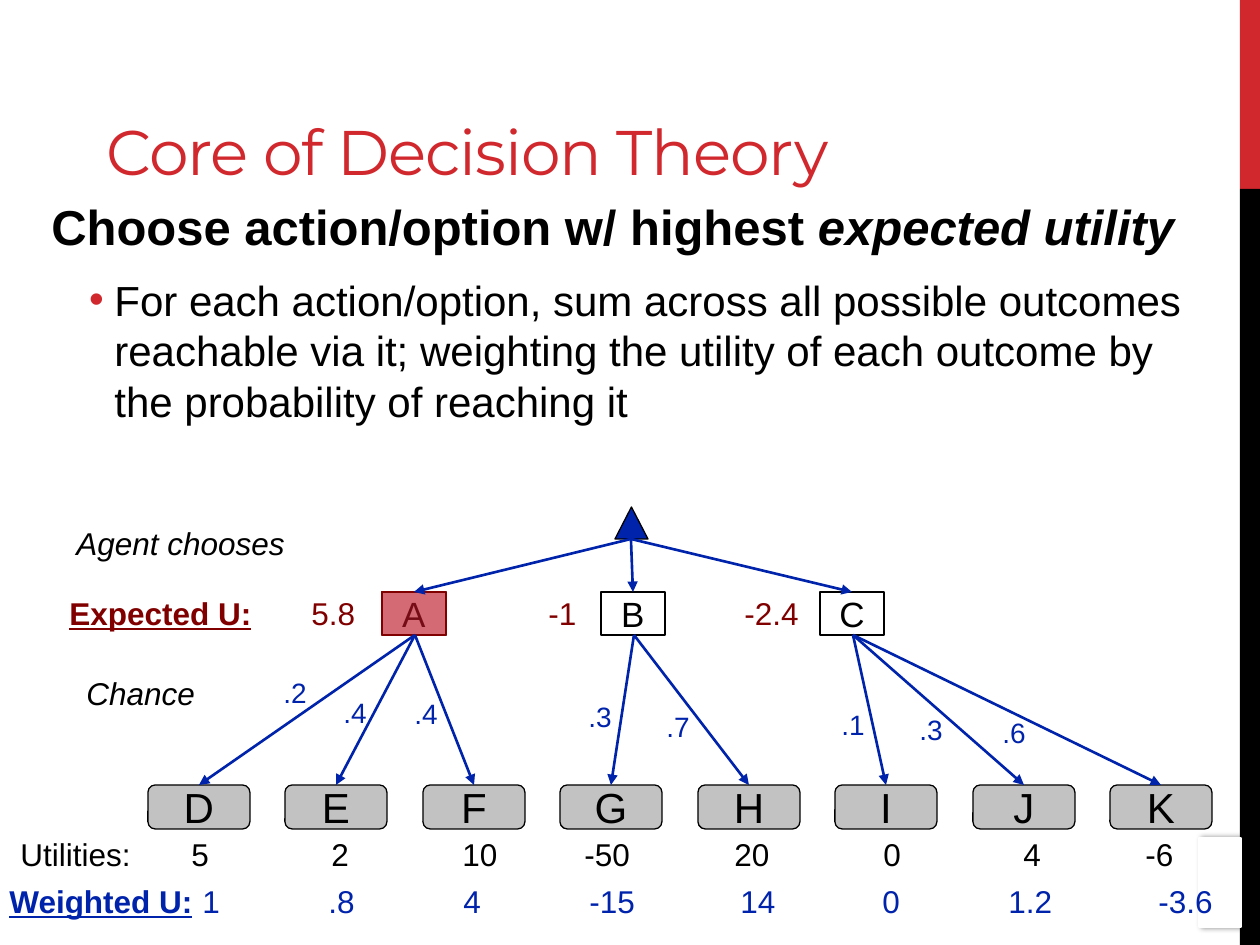
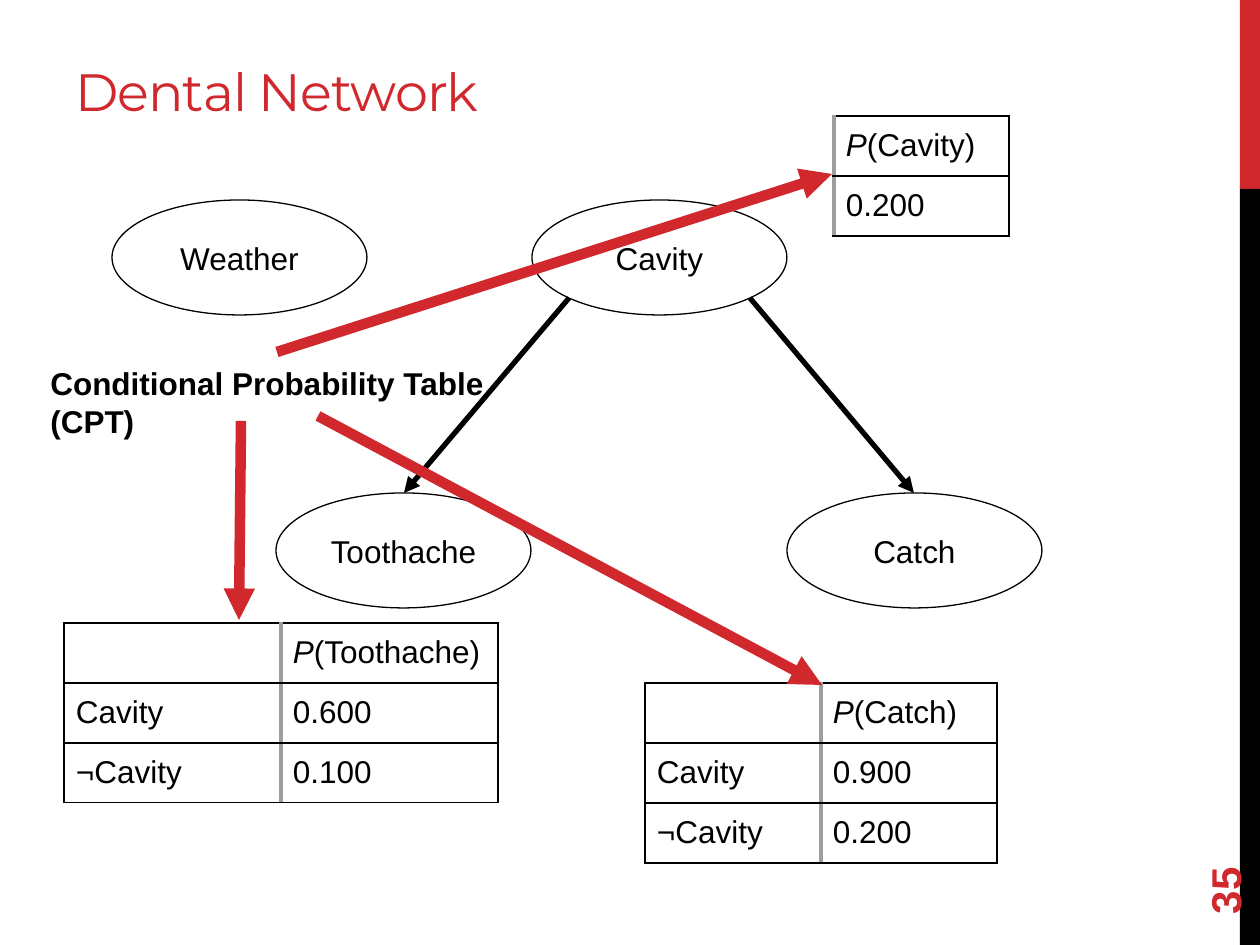
from lxml import etree
from pptx import Presentation
from pptx import util as u
from pptx.dml.color import RGBColor
from pptx.enum import shapes, text
from pptx.oxml.ns import qn

PX = 7257  # EMU in one px, 126 px to the inch
RED, BLACK, WHITE = "D1282E", "000000", "FFFFFF"
BLUE, WINE, GREY = "0023AB", "800000", "9E9E9E"
rgb = RGBColor.from_string
KIND = shapes.MSO_SHAPE
MID = text.MSO_ANCHOR.MIDDLE


def write(par, txt, size=18, col=BLACK, font="Arial", bold=False,
          ital=False, under=False, track=0):
    """Add one formatted run to a paragraph."""
    run = par.add_run()
    run.text = txt
    f = run.font
    f.size, f.name, f.bold, f.italic = u.Pt(size), font, bold, ital
    f.underline = under
    f.color.rgb = rgb(col)
    if track:
        run._r.get_or_add_rPr().set("spc", str(track))


def put(sl, box, txt="", kind=None, fill=None, edge=None, wide=0.75,
        wrap=True, anchor=None, **form):
    """Add a text box, or a preset shape with centred text."""
    box = [n * PX for n in box]
    if kind is None:
        shp = sl.shapes.add_textbox(*box)
    else:
        shp = sl.shapes.add_shape(kind, *box)
        shp.shadow.inherit = False
        if fill:
            shp.fill.solid()
            shp.fill.fore_color.rgb = rgb(fill)
        else:
            shp.fill.background()
        if edge:
            shp.line.color.rgb = rgb(edge)
            shp.line.width = u.Pt(wide)
        else:
            shp.line.fill.background()
    frame = shp.text_frame
    frame.word_wrap = wrap
    if anchor is not None:
        frame.vertical_anchor = anchor
    if txt:
        par = frame.paragraphs[0]
        if kind is not None:
            par.alignment = text.PP_ALIGN.CENTER
            frame.vertical_anchor = MID
        write(par, txt, **form)
    return shp


prs = Presentation()
prs.slide_width, prs.slide_height = u.Inches(10), u.Inches(7.5)
links = []  # slide, from x, from y, to x, to y, colour, width

# Shared bands and titles
heads = [("Core of Decision Theory", 36, (94, 37, 1071, 157)),
         ("Dental Network", 30, (63, 21, 1114, 107))]
for head, size, box in heads:
    sl = prs.slides.add_slide(prs.slide_layouts[6])
    put(sl, (1240, 0, 20, 189), kind=KIND.RECTANGLE, fill=RED)
    put(sl, (1240, 189, 20, 756), kind=KIND.RECTANGLE, fill=BLACK)
    put(sl, box, head, anchor=text.MSO_ANCHOR.BOTTOM, size=size, col=RED,
        font="Montserrat", track=-60)
tree, net = prs.slides

# ---- Decision tree ----
# White patch with a soft shadow
patch = put(tree, (1199, 838, 42, 89), kind=KIND.RECTANGLE, fill=WHITE,
            edge=WHITE, wide=1)
glow = etree.SubElement(patch._element.spPr.find(qn("a:effectLst")),
                        qn("a:outerShdw"), blurRad="39370", dist="22860",
                        dir="0")
tint = etree.SubElement(glow, qn("a:srgbClr"), val=BLACK)
etree.SubElement(tint, qn("a:alpha"), val="40000")

# Rule and its bullet
body = put(tree, (39, 190, 1167, 309), "Choose action/option w/ highest ",
           size=28, bold=True).text_frame
first = body.paragraphs[0]
write(first, "expected utility", size=28, bold=True, ital=True)
first.space_after = u.Pt(6)
item = body.add_paragraph()
write(item, "For each action/option, sum across all possible outcomes "
      "reachable via it; weighting the utility of each outcome by the "
      "probability of reaching it", size=24)
item.space_before = u.Pt(5)
ppr = item._p.get_or_add_pPr()
ppr.set("marL", str(u.Inches(0.5)))
ppr.set("indent", str(u.Inches(-0.2)))
mark = etree.SubElement(ppr, qn("a:buClr"))
etree.SubElement(mark, qn("a:srgbClr"), val=RED)
etree.SubElement(ppr, qn("a:buFont"), typeface="Arial")
etree.SubElement(ppr, qn("a:buChar"), char="•")

# Root and the three actions
put(tree, (615, 507, 33, 32), kind=KIND.ISOSCELES_TRIANGLE, fill=BLUE,
    edge=BLACK)
acts = [("A", "5.8", 299, "DEF"), ("B", "-1", 536, "GH"),
        ("C", "-2.4", 732, "IJK")]
leaf = 0
for i, (act, worth, x, kids) in enumerate(acts):
    left = 382 + 219 * i
    put(tree, (left, 592, 64, 43), act, KIND.RECTANGLE, WHITE, BLACK,
        wrap=False, size=20)
    put(tree, (x, 588, 100, 50), worth, wrap=False, col=WINE)
    links.append((tree, 631, 539, left + 32, 592, BLUE, 1.5))
    for kid in kids:
        kx = 148 + leaf * 275 // 2
        put(tree, (kx, 785, 102, 44), kid, KIND.ROUNDED_RECTANGLE, "C2C2C2",
            BLACK, wrap=False, size=24)
        links.append((tree, left + 33, 635, kx + 51, 785, BLUE, 1.5))
        leaf += 1

# Best action, tinted
best = put(tree, (382, 592, 64, 43), kind=KIND.RECTANGLE, fill="BC1422",
           edge=WINE)
tint = best._element.spPr.find(qn("a:solidFill"))[0]
etree.SubElement(tint, qn("a:alpha"), val="63000")

# Chances on the branches
odds = [(".2", 271, 669), (".4", 331, 689), (".4", 402, 690),
        (".3", 576, 693), (".7", 654, 703), (".1", 829, 701),
        (".3", 907, 706), (".6", 990, 709)]
for odd, x, y in odds:
    put(tree, (x, y, 60, 47), odd, wrap=False, size=16, col=BLUE)

# Value rows under the leaves
rows = [(829, BLACK, [("5", 179), ("2", 319), ("10", 450), ("-50", 572),
                      ("20", 722), ("0", 871), ("4", 1011), ("-6", 1133)]),
        (876, BLUE, [("1", 190), (".8", 316), ("4", 451), ("-15", 577),
                     ("14", 728), ("0", 870), ("1.2", 996), ("-3.6", 1146)])]
for y, col, vals in rows:
    for val, x in vals:
        put(tree, (x, y, 100, 50), val, wrap=False, col=col)

# Row labels
put(tree, (8, 829, 150, 50), "Utilities:", wrap=False)
put(tree, (-3, 876, 220, 50), "Weighted U:", wrap=False, col=BLUE, bold=True,
    under=True)
put(tree, (57, 588, 220, 50), "Expected U:", wrap=False, col=WINE, bold=True,
    under=True)
put(tree, (64, 518, 266, 50), "Agent chooses", ital=True)
put(tree, (74, 668, 266, 50), "Chance", ital=True)

# ---- Dental network ----
# Page number
page = put(net, (1134, 811, 181, 50), "35", anchor=MID, size=24, col=RED,
           bold=True)
page.rotation = 270

# Nodes and their edges
nodes = [("Weather", 112, 200), ("Cavity", 532, 200),
         ("Toothache", 276, 493), ("Catch", 787, 493)]
for node, x, y in nodes:
    put(net, (x, y, 255, 115), node, KIND.OVAL, edge=BLACK)
links += [(net, 569, 298, 404, 493, BLACK, 3),
          (net, 750, 298, 914, 493, BLACK, 3)]

# Probability tables: left, top, column width, frame width, cells
tabs = [
    (64, 623, 217, 0.75, [["", "P(Toothache)"], ["Cavity", "0.600"],
                          ["¬Cavity", "0.100"]]),
    (645, 683, 176, 1.5, [["", "P(Catch)"], ["Cavity", "0.900"],
                          ["¬Cavity", "0.200"]]),
    (834, 116, 175, 1.5, [["P(Cavity)"], ["0.200"]]),
]
for x, y, wide, rim, data in tabs:
    high, cols = len(data), len(data[0])
    tab = net.shapes.add_table(high, cols, x * PX, y * PX, wide * cols * PX,
                               60 * high * PX).table
    tab.first_row = tab.horz_banding = False
    for r, row in enumerate(data):
        for c, val in enumerate(row):
            cell = tab.cell(r, c)
            cell.fill.background()
            cell.vertical_anchor = MID
            cell.margin_left = cell.margin_right = 12 * PX
            cell.margin_top = cell.margin_bottom = 11 * PX
            par = cell.text_frame.paragraphs[0]
            if val.startswith("P("):
                write(par, "P", ital=True)
                val = val[1:]
            if val:
                write(par, val)
            # Grey rule left of the values, black elsewhere
            bar, thin = (GREY, 3), (BLACK, rim)
            sides = [("L", bar if c == cols - 1 else thin),
                     ("R", bar if c < cols - 1 else thin),
                     ("T", (BLACK, 1.5) if r else thin),
                     ("B", (BLACK, 1.5) if r < high - 1 else thin)]
            tcpr = cell._tc.get_or_add_tcPr()
            for i, (side, (col, size)) in enumerate(sides):
                ln = etree.Element(qn("a:ln" + side), w=str(u.Pt(size)))
                tint = etree.SubElement(ln, qn("a:solidFill"))
                etree.SubElement(tint, qn("a:srgbClr"), val=col)
                tcpr.insert(i, ln)

# Caption pointing at the tables
put(net, (38, 358, 480, 95), "Conditional Probability Table (CPT)", bold=True)
links += [(net, 241, 421, 239, 620, RED, 6),
          (net, 277, 352, 832, 174, RED, 6),
          (net, 318, 416, 822, 685, RED, 6)]

# ---- All arrows ----
for sl, x1, y1, x2, y2, col, wide in links:
    arrow = sl.shapes.add_connector(shapes.MSO_CONNECTOR.STRAIGHT, x1 * PX,
                                    y1 * PX, x2 * PX, y2 * PX)
    arrow.line.color.rgb = rgb(col)
    arrow.line.width = u.Pt(wide)
    etree.SubElement(arrow.line._get_or_add_ln(), qn("a:tailEnd"),
                     type="triangle")
    etree.SubElement(arrow._element.spPr, qn("a:effectLst"))

prs.save("out.pptx")
